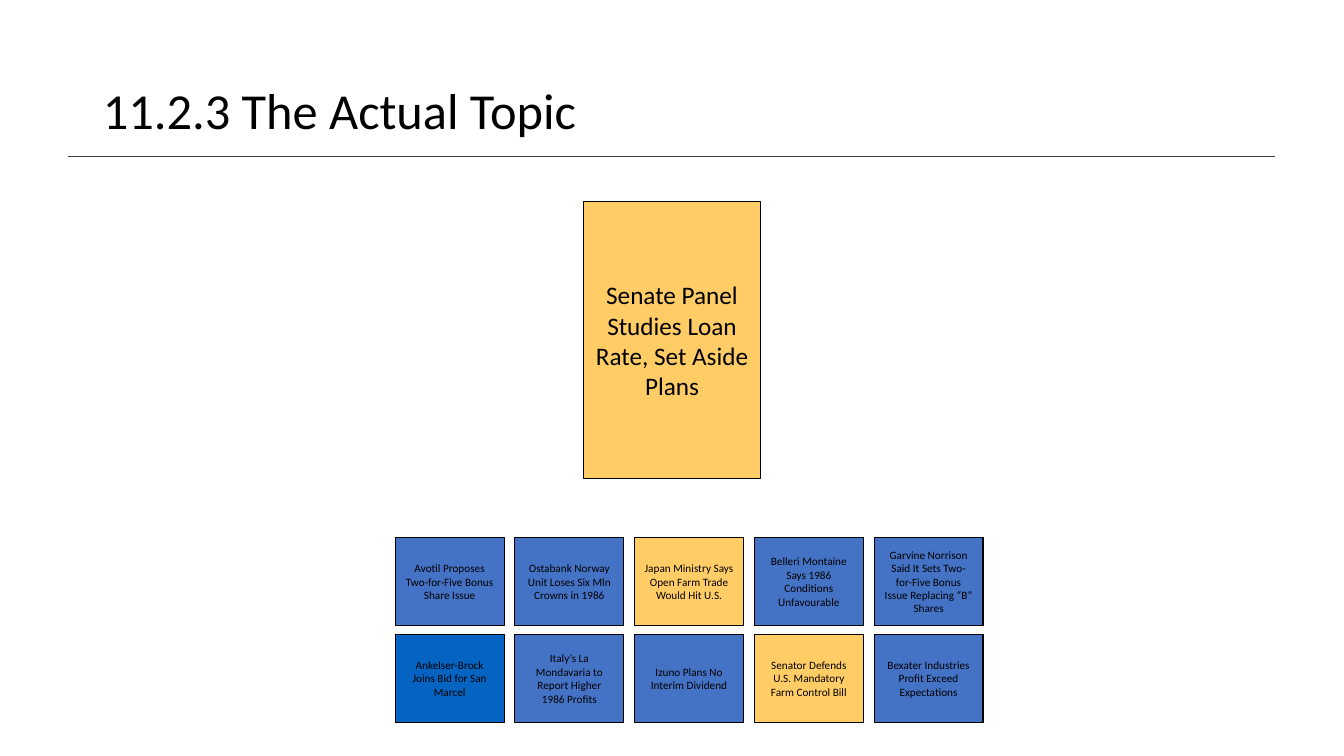
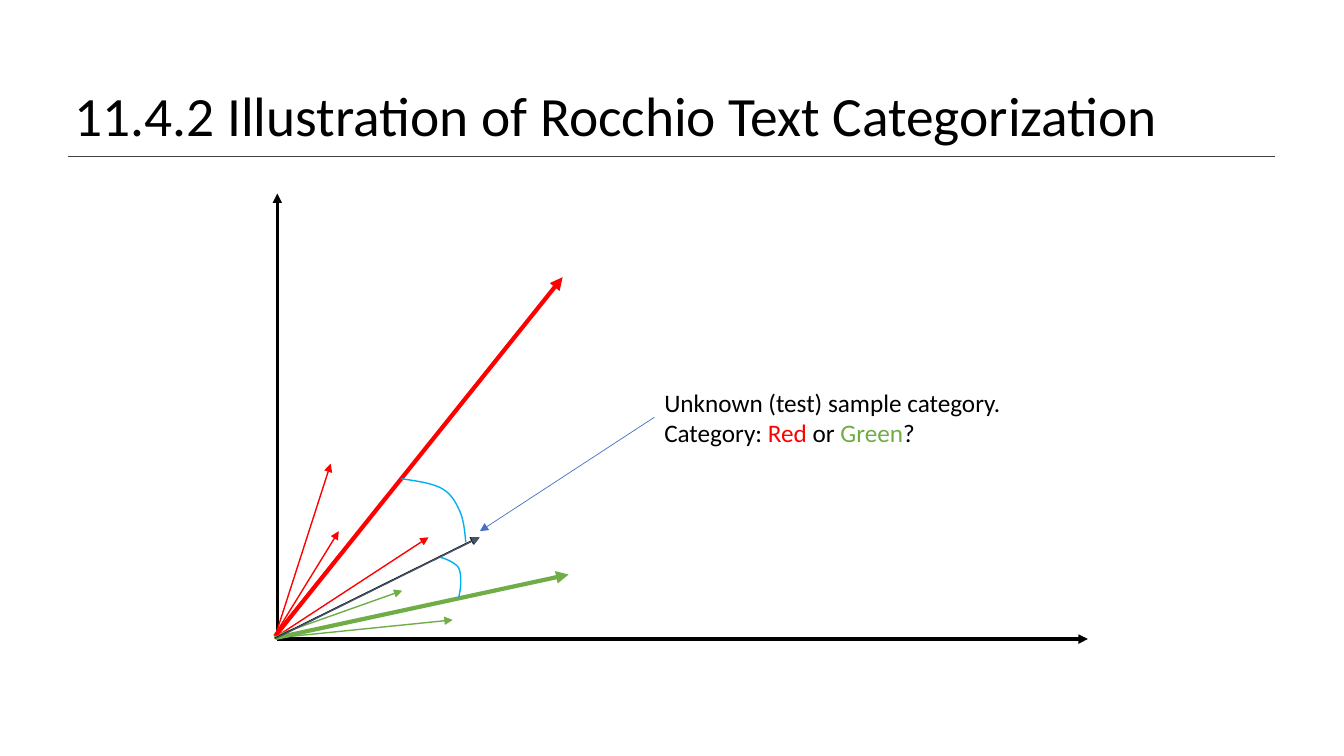
from lxml import etree
from pptx import Presentation
from pptx.dml.color import RGBColor
from pptx.enum import shapes, text
from pptx.oxml.ns import qn
from pptx.util import Inches, Pt

FONT = "Calibri"
BLACK, RULE, SLATE = "000000", "404040", "44546A"
RED, GREEN, BLUE, SKY = "FF0000", "70AD47", "4472C4", "00B0F0"
AMBER, DEEP_BLUE = "FFCC66", "0563C1"
CURVE_STEPS = 12

HEADLINES = [
    [
        ("Avotil Proposes Two-for-Five Bonus Share Issue", BLUE),
        ("Ostabank Norway Unit Loses Six Mln Crowns in 1986", BLUE),
        ("Japan Ministry Says Open Farm Trade Would Hit U.S.", AMBER),
        ("Belleri Montaine Says 1986 Conditions Unfavourable", BLUE),
        ("Garvine Norrison Said It Sets Two-for-Five Bonus Issue Replacing “B” Shares", BLUE),
    ],
    [
        ("Ankelser-Brock Joins Bid for San Marcel", DEEP_BLUE),
        ("Italy’s La Mondavaria to Report Higher 1986 Profits", BLUE),
        ("Izuno Plans No Interim Dividend", BLUE),
        ("Senator Defends U.S. Mandatory Farm Control Bill", AMBER),
        ("Bexater Industries Profit Exceed Expectations", BLUE),
    ],
]

AXES = [((2.75, 6.33), (2.75, 1.92)), ((2.75, 6.34), (10.79, 6.34))]
VECTORS = [
    ((2.73, 6.31), (3.28, 4.6), RED, 1),
    ((2.72, 6.31), (3.36, 5.27), RED, 1),
    ((2.72, 6.33), (4.25, 5.33), RED, 1),
    ((2.72, 6.33), (4.49, 6.15), GREEN, 1),
    ((2.72, 6.31), (3.99, 5.86), GREEN, 1),
    ((2.73, 6.31), (5.58, 2.75), RED, 3),
    ((2.73, 6.33), (5.64, 5.7), GREEN, 3),
    ((2.73, 6.33), (4.75, 5.33), BLACK, 1),
]
ANGLES = [
    [(3.98, 4.75), (4.12, 4.77), (4.27, 4.79), (4.37, 4.84), (4.47, 4.89),
     (4.52, 4.98), (4.56, 5.07), (4.6, 5.16), (4.61, 5.27), (4.62, 5.38)],
    [(4.37, 5.53), (4.44, 5.55), (4.5, 5.58), (4.54, 5.62), (4.57, 5.66),
     (4.57, 5.73), (4.57, 5.78), (4.57, 5.83), (4.56, 5.88), (4.55, 5.93)],
]


def rgb(value):
    return RGBColor.from_string(value)


def style_line(line, color, width):
    line.color.rgb = rgb(color)
    line.width = Pt(width)


def write(frame, paragraphs, size, align=text.PP_ALIGN.LEFT,
          anchor=text.MSO_ANCHOR.TOP, wrap=True, spacing=1.0):
    frame.word_wrap = wrap
    frame.vertical_anchor = anchor
    for index, runs in enumerate(paragraphs):
        paragraph = frame.paragraphs[0] if index == 0 else frame.add_paragraph()
        paragraph.alignment = align
        paragraph.line_spacing = spacing
        for words, color in runs:
            run = paragraph.add_run()
            run.text = words
            run.font.name = FONT
            run.font.size = Pt(size)
            run.font.color.rgb = rgb(color)


def add_line(slide, start, end, color, width, arrow=False):
    connector = slide.shapes.add_connector(
        shapes.MSO_CONNECTOR.STRAIGHT, *map(Inches, start + end))
    style_line(connector.line, color, width)
    if arrow:
        outline = connector.line._get_or_add_ln()
        etree.SubElement(outline, qn("a:tailEnd"), type="triangle")
    etree.SubElement(connector._element.spPr, qn("a:effectLst"))


def add_titled_slide(deck, title, box, size):
    slide = deck.slides.add_slide(deck.slide_layouts[5])
    add_line(slide, (0.67, 1.55), (12.65, 1.55), RULE, 1)
    heading = slide.shapes.title
    heading.left, heading.top, heading.width, heading.height = map(Inches, box)
    heading.text_frame.auto_size = text.MSO_AUTO_SIZE.NONE
    write(heading.text_frame, [[(title, BLACK)]], size,
          anchor=text.MSO_ANCHOR.MIDDLE, spacing=0.9)
    return slide


def add_card(slide, headline, box, fill, size):
    card = slide.shapes.add_shape(shapes.MSO_SHAPE.RECTANGLE, *map(Inches, box))
    card.shadow.inherit = False
    card.fill.solid()
    card.fill.fore_color.rgb = rgb(fill)
    style_line(card.line, BLACK, 0.75)
    write(card.text_frame, [[(headline, BLACK)]], size,
          align=text.PP_ALIGN.CENTER, anchor=text.MSO_ANCHOR.MIDDLE)


def bezier_point(controls, t):
    weights = ((1 - t) ** 3, 3 * t * (1 - t) ** 2, 3 * t ** 2 * (1 - t), t ** 3)
    return tuple(Inches(sum(w * point[axis] for w, point in zip(weights, controls)))
                 for axis in (0, 1))


def add_curve(slide, controls, color, width):
    points = [bezier_point(controls[first:first + 4], step / CURVE_STEPS)
              for first in range(0, len(controls) - 1, 3)
              for step in range(1, CURVE_STEPS + 1)]
    builder = slide.shapes.build_freeform(*map(Inches, controls[0]))
    builder.add_line_segments(points, close=False)
    curve = builder.convert_to_shape()
    curve.shadow.inherit = False
    curve.fill.background()
    style_line(curve.line, color, width)


def build_topic(deck):
    slide = add_titled_slide(deck, "11.2.3 The Actual Topic", (0.92, 0.4, 11.5, 1.45), 36)
    add_card(slide, "Senate Panel Studies Loan Rate, Set Aside Plans",
             (5.79, 2, 1.75, 2.75), AMBER, 18)
    left, top, column_step, row_step = 3.92, 5.33, 4.75 / 4, 0.96
    for row, headlines in enumerate(HEADLINES):
        for column, (headline, fill) in enumerate(headlines):
            box = (left + column * column_step, top + row * row_step, 1.08, 0.88)
            add_card(slide, headline, box, fill, 8)


def build_rocchio(deck):
    slide = add_titled_slide(deck, "11.4.2 Illustration of Rocchio Text Categorization",
                             (0.64, 0.83, 12.07, 0.7), 39.6)
    for start, end in AXES:
        add_line(slide, start, end, BLACK, 2.25, arrow=True)
    for start, end, color, width in VECTORS:
        add_line(slide, start, end, color, width, arrow=True)
    for controls in ANGLES:
        add_curve(slide, controls, SKY, 1)
    add_line(slide, (2.74, 6.33), (4.76, 5.33), SLATE, 1, arrow=True)
    question = slide.shapes.add_textbox(*map(Inches, (6.49, 3.79, 3.94, 0.71)))
    write(question.text_frame, [
        [("Unknown (test) sample category.", BLACK)],
        [("Category: ", BLACK), ("Red", RED), (" or ", BLACK), ("Green", GREEN), ("?", BLACK)],
    ], 18)
    add_line(slide, (6.49, 4.14), (4.76, 5.27), BLUE, 0.5, arrow=True)


def main():
    deck = Presentation()
    deck.slide_width, deck.slide_height = Inches(13.33), Inches(7.5)
    build_topic(deck)
    build_rocchio(deck)
    deck.save("out.pptx")


if __name__ == "__main__":
    main()
